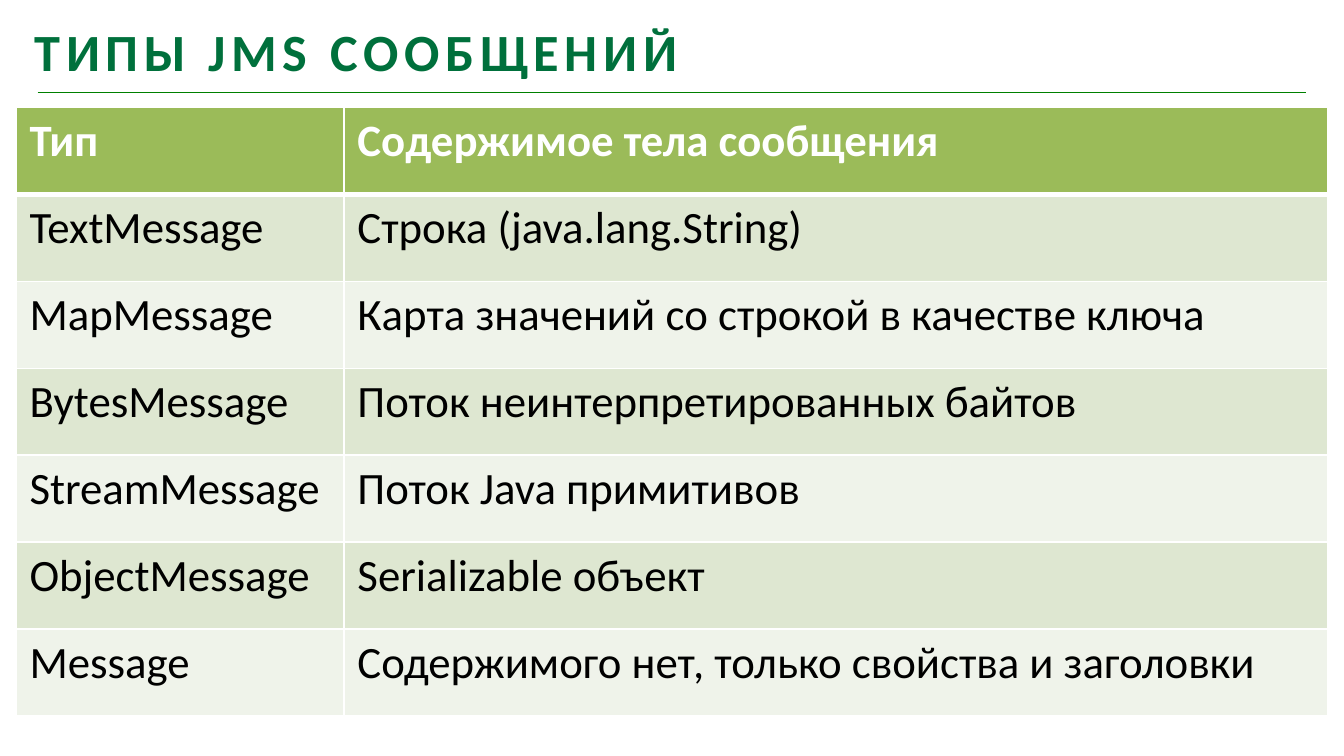
from lxml import etree
from pptx import Presentation
from pptx.dml.color import RGBColor
from pptx.enum import shapes, text
from pptx.oxml.ns import qn
from pptx.util import Inches, Pt

FONT = "Calibri"
WHITE = "FFFFFF"
HEADER_FILL = "9BBB59"
BAND_FILLS = ("DEE7D1", "EFF3EA")
SLIDE_WIDTH = 10
SLIDE_HEIGHT = SLIDE_WIDTH * 9 / 16
COLUMN_WIDTHS = (2.44, 7.32)
ROW_HEIGHT = 4.53 / 7
ROWS = [
    ("Тип", "Содержимое тела сообщения"),
    ("TextMessage", "Строка (java.lang.String)"),
    ("MapMessage", "Карта значений со строкой в качестве ключа"),
    ("BytesMessage", "Поток неинтерпретированных байтов"),
    ("StreamMessage", "Поток Java примитивов"),
    ("ObjectMessage", "Serializable объект"),
    ("Message", "Содержимого нет, только свойства и заголовки"),
]


def color(value):
    return RGBColor.from_string(value)


def format_text(frame, size, value, bold):
    """Format every run of a text frame."""
    for para in frame.paragraphs:
        for span in para.runs:
            span.font.name = FONT
            span.font.size = Pt(size)
            span.font.bold = bold
            span.font.color.rgb = color(value)


def add_title(page, wording):
    title = page.shapes.title
    title.left, title.top = Inches(0.26), Inches(0.09)
    title.width, title.height = Inches(8.91), Inches(0.52)
    frame = title.text_frame
    frame.text = wording
    frame.word_wrap = True
    frame.auto_size = text.MSO_AUTO_SIZE.NONE
    frame.vertical_anchor = text.MSO_ANCHOR.TOP
    frame.margin_left = frame.margin_bottom = 0
    frame.margin_top, frame.margin_right = Inches(0.05), Inches(0.1)
    para = frame.paragraphs[0]
    para.alignment = text.PP_ALIGN.LEFT
    format_text(frame, 28, "00703C", True)
    # Letter spacing, in hundredths of a point
    para.runs[0].font._element.set("spc", "300")


def add_rule(page):
    rule = page.shapes.add_connector(
        shapes.MSO_CONNECTOR.STRAIGHT,
        Inches(0.28), Inches(0.69), Inches(9.72), Inches(0.69))
    rule.line.color.rgb = color("008000")
    rule.line.width = Pt(0.75)
    etree.SubElement(rule._element.spPr, qn("a:effectLst"))


def set_borders(cell, top, bottom):
    """Draw white borders, ahead of the fill as the schema asks."""
    properties = cell._tc.get_or_add_tcPr()
    widths = {"a:lnL": 1, "a:lnR": 1, "a:lnT": top, "a:lnB": bottom}
    for position, (tag, width) in enumerate(widths.items()):
        border = etree.Element(qn(tag), w=str(Pt(width)))
        fill = etree.SubElement(border, qn("a:solidFill"))
        etree.SubElement(fill, qn("a:srgbClr"), val=WHITE)
        properties.insert(position, border)


def fill_cell(cell, wording, row):
    header = row == 0
    cell.text = wording
    format_text(cell.text_frame, 24, WHITE if header else "000000", header)
    cell.fill.solid()
    fill = HEADER_FILL if header else BAND_FILLS[(row - 1) % 2]
    cell.fill.fore_color.rgb = color(fill)
    set_borders(cell, top=3 if row == 1 else 1, bottom=3 if header else 1)


def add_message_table(page):
    table = page.shapes.add_table(
        len(ROWS), len(COLUMN_WIDTHS), Inches(0.12), Inches(0.8),
        Inches(sum(COLUMN_WIDTHS)), Inches(ROW_HEIGHT * len(ROWS))).table
    for column, width in zip(table.columns, COLUMN_WIDTHS):
        column.width = Inches(width)
    for row, wordings in enumerate(ROWS):
        table.rows[row].height = Inches(ROW_HEIGHT)
        for column, wording in enumerate(wordings):
            fill_cell(table.cell(row, column), wording, row)


def main():
    deck = Presentation()
    deck.slide_width = Inches(SLIDE_WIDTH)
    deck.slide_height = Inches(SLIDE_HEIGHT)
    page = deck.slides.add_slide(deck.slide_layouts[5])
    # Heading with the line under it
    add_title(page, "ТИПЫ JMS СООБЩЕНИЙ")
    add_rule(page)
    # Message types
    add_message_table(page)
    deck.save("out.pptx")


if __name__ == "__main__":
    main()
